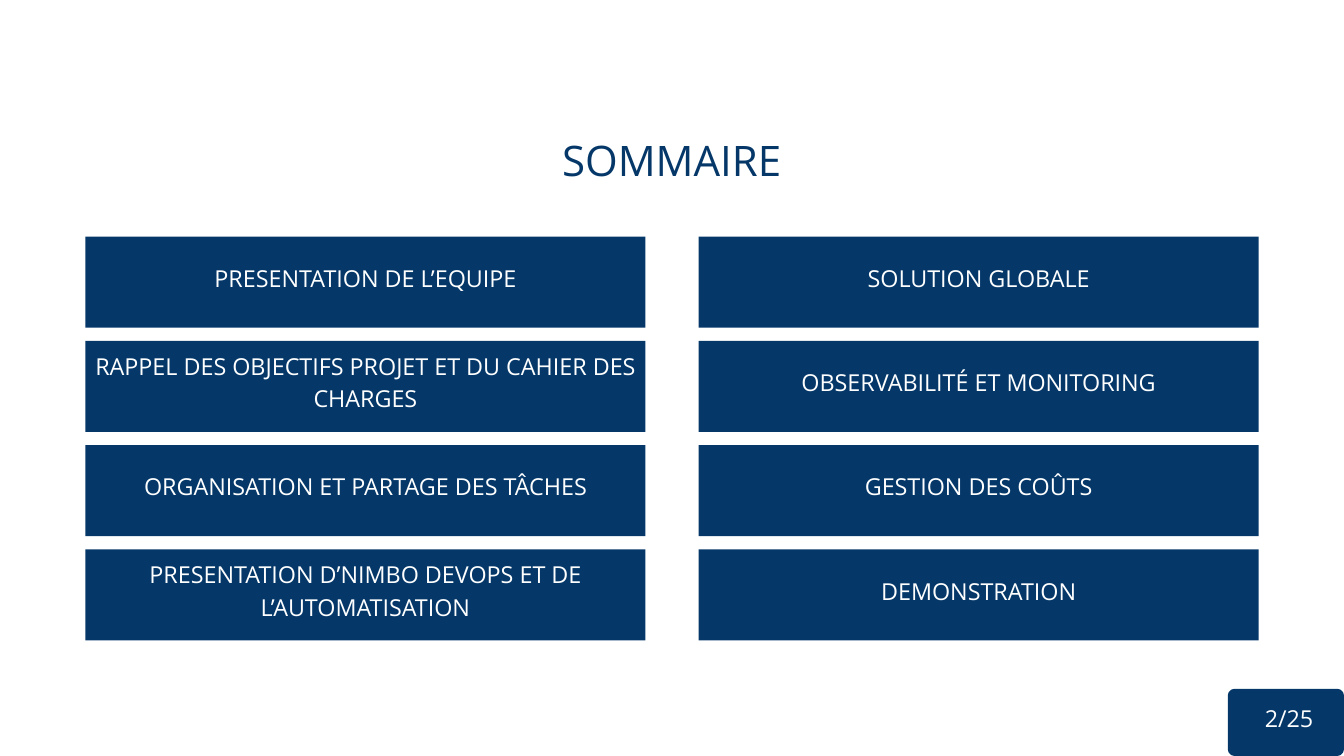
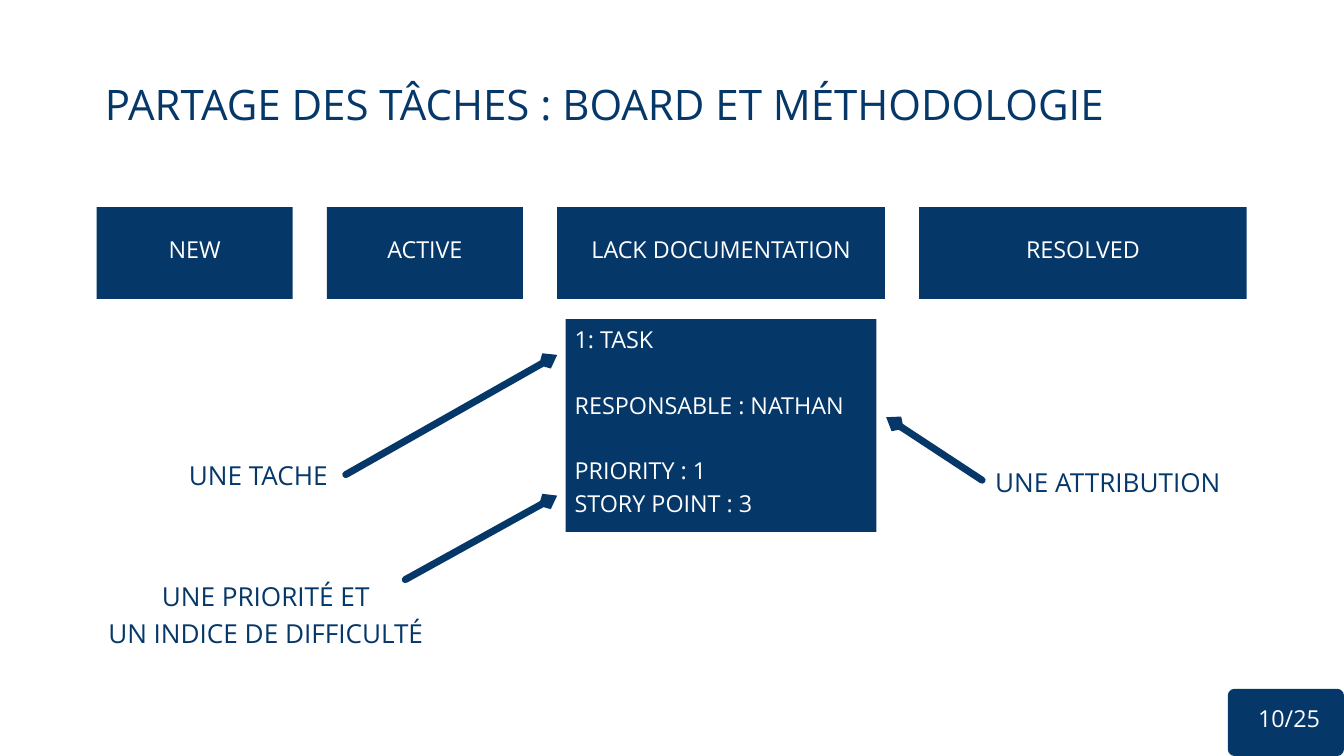
"""Build the summary slide and the task board slide."""
from lxml import etree
from pptx import Presentation
from pptx.dml.color import RGBColor
from pptx.enum.shapes import MSO_CONNECTOR, MSO_SHAPE
from pptx.enum.text import MSO_ANCHOR, PP_ALIGN
from pptx.oxml.ns import qn
from pptx.util import Pt

PX = 9525
NAVY = RGBColor(0x05, 0x38, 0x69)
WHITE = RGBColor(0xFF, 0xFF, 0xFF)
FONT = "Open Sans"
CENTER, LEFT = PP_ALIGN.CENTER, PP_ALIGN.LEFT
TOP, MIDDLE = MSO_ANCHOR.TOP, MSO_ANCHOR.MIDDLE
RECTANGLE, ROUNDED = MSO_SHAPE.RECTANGLE, MSO_SHAPE.ROUNDED_RECTANGLE
STRAIGHT = MSO_CONNECTOR.STRAIGHT

TITLE = {"size": 45, "leading": 63, "color": NAVY}
LABEL = {"size": 28, "leading": 39.2, "color": NAVY}
BLOCK = {"size": 25, "leading": 35, "color": WHITE}


def write(holder, lines, style, insets=(0, 0, 0, 0), anchor=TOP, align=CENTER, gaps=()):
    frame = holder.text_frame
    left, top, right, bottom = (inset * PX for inset in insets)
    layout = {"word_wrap": True, "vertical_anchor": anchor, "margin_left": left,
              "margin_top": top, "margin_right": right, "margin_bottom": bottom}
    for key, value in layout.items():
        setattr(frame, key, value)
    for index, line in enumerate(lines):
        paragraph = frame.add_paragraph() if index else frame.paragraphs[0]
        spacing = {"alignment": align, "line_spacing": Pt(style["leading"]),
                   "space_before": Pt(style["leading"] if index in gaps else 0)}
        for key, value in spacing.items():
            setattr(paragraph, key, value)
        run = paragraph.add_run()
        run.text = line
        for key, value in {"name": FONT, "size": Pt(style["size"])}.items():
            setattr(run.font, key, value)
        run.font.color.rgb = style["color"]


def add_block(slide, box, lines, kind=RECTANGLE, insets=(6, 6, 6, 25), **options):
    block = slide.shapes.add_shape(kind, *(side * PX for side in box))
    block.shadow.inherit = False
    block.fill.solid()
    block.fill.fore_color.rgb = NAVY
    block.line.fill.background()
    write(block, lines, BLOCK, insets, MIDDLE, **options)
    return block


deck = Presentation()
deck.slide_width, deck.slide_height = 1920 * PX, 1080 * PX

pages = [
    ("SOMMAIRE", (612, 180, 695, 79), "2/25"),
    ("PARTAGE DES TÂCHES : BOARD ET MÉTHODOLOGIE", (108, 100, 1511, 79), "10/25"),
]
slides = []
for title, title_box, number in pages:
    slide = deck.slides.add_slide(deck.slide_layouts[6])
    heading = slide.shapes.add_textbox(*(side * PX for side in title_box))
    write(heading, [title], TITLE)
    page_tag = add_block(slide, (1754, 984, 166, 96), [number], ROUNDED, (15, 6, 6, 25))
    page_tag.adjustments[0] = 0.1
    slides.append(slide)
summary, board = slides

chapters = [
    ["PRESENTATION DE L’EQUIPE",
     "RAPPEL DES OBJECTIFS PROJET ET DU CAHIER DES CHARGES",
     "ORGANISATION ET PARTAGE DES TÂCHES",
     "PRESENTATION D’NIMBO DEVOPS ET DE L’AUTOMATISATION"],
    ["SOLUTION GLOBALE",
     "OBSERVABILITÉ ET MONITORING",
     "GESTION DES COÛTS",
     "DEMONSTRATION"],
]
for column, names in enumerate(chapters):
    for row, name in enumerate(names):
        add_block(summary, (122 + 876 * column, 338 + 149 * row, 800, 130), [name])

status_left = 138
for status, width in [("NEW", 280), ("ACTIVE", 280),
                      ("LACK DOCUMENTATION", 468), ("RESOLVED", 468)]:
    add_block(board, (status_left, 296, width, 131), [status])
    status_left += width + 49

task = ["1: TASK", "RESPONSABLE : NATHAN", "PRIORITY : 1", "STORY POINT : 3"]
add_block(board, (808, 456, 444, 304), task, insets=(13, 0, 13, 19), align=LEFT, gaps=(1, 2))

callouts = [
    (["UNE TACHE"], (243, 649, 252, 51), (494, 678, 796, 507)),
    (["UNE ATTRIBUTION"], (1403, 659, 359, 51), (1403, 686, 1266, 596)),
    (["UNE PRIORITÉ ET", "UN INDICE DE DIFFICULTÉ"], (97, 822, 565, 103),
     (579, 828, 796, 708)),
]
for lines, box, ends in callouts:
    label = board.shapes.add_textbox(*(side * PX for side in box))
    write(label, lines, LABEL)
    arrow = board.shapes.add_connector(STRAIGHT, *(end * PX for end in ends))
    arrow.line.color.rgb = NAVY
    arrow.line.width = Pt(7.5)
    stroke = arrow.line._get_or_add_ln()
    stroke.set("cap", "rnd")
    etree.SubElement(stroke, qn("a:round"))
    etree.SubElement(stroke, qn("a:tailEnd"), type="arrow", w="sm", len="sm")
    etree.SubElement(arrow._element.spPr, qn("a:effectLst"))

deck.save("out.pptx")
